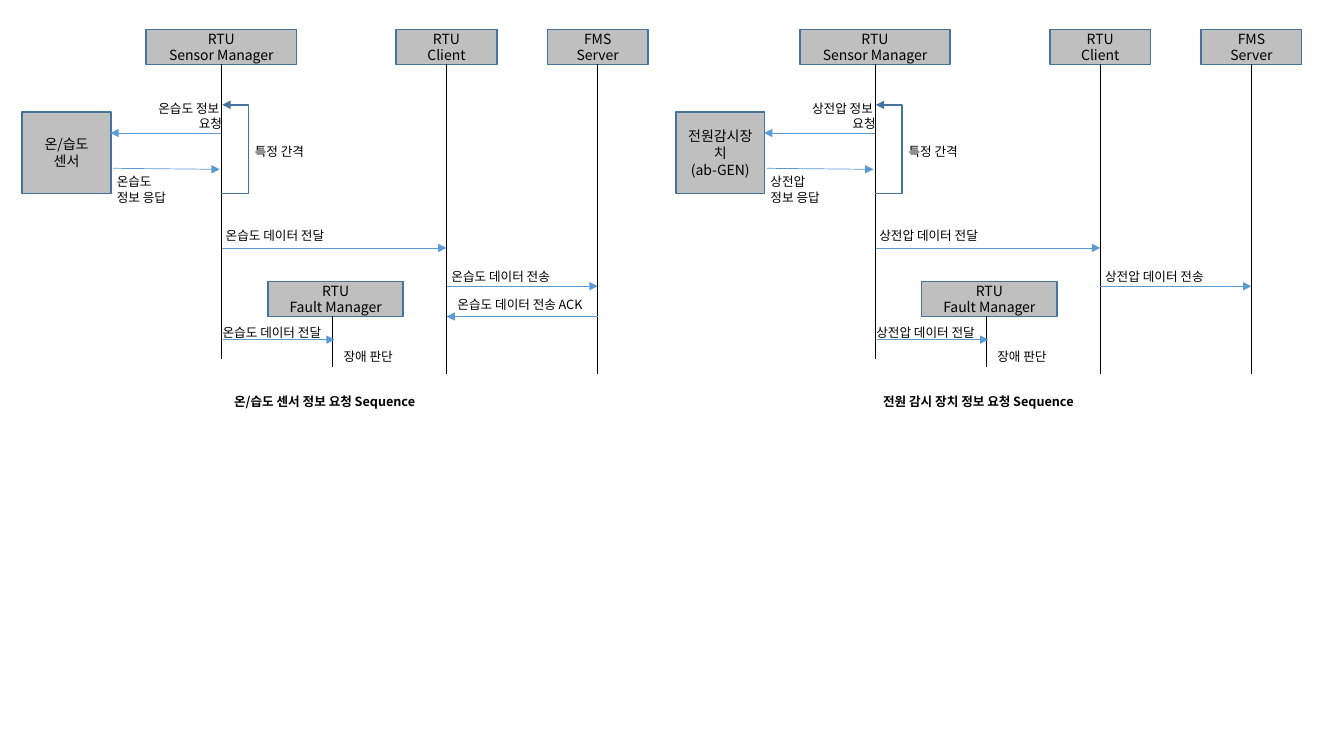
import pptx
import pptx.util
import pptx.dml.color
import pptx.enum.shapes
import pptx.enum.text
import pptx.oxml.ns
import lxml.etree

RGB = pptx.dml.color.RGBColor
GREY = RGB(0xBF, 0xBF, 0xBF)
EDGE = RGB(0x43, 0x73, 0x9E)
BLUE = RGB(0x5B, 0x9B, 0xD5)
BLACK = RGB(0, 0, 0)
FONT = "Noto Sans CJK KR"
ALIGN = pptx.enum.text.PP_ALIGN

# The grid has square cells of a tenth of an inch.
CELL = pptx.util.Inches(0.1)
COLS, ROWS = 133.33, 75
PANEL = 64.85  # columns from one sequence to the next
HEAD, TALL = 2.9, 3.5  # top row and height of the role boxes
MANAGER, CLIENT, SERVER, FAULT = 21.95, 44.3, 59.3, 33


def cells(*counts):
    return [round(count * CELL) for count in counts]


def child(parent, tag, **attrs):
    return lxml.etree.SubElement(parent, pptx.oxml.ns.qn(tag), **attrs)


def write(frame, lines, size, align, bold=False):
    frame.word_wrap = True
    for i, line in enumerate(lines):
        para = frame.paragraphs[0] if i == 0 else frame.add_paragraph()
        para.alignment = align
        run = para.add_run()
        run.text = line
        font = run.font
        font.name, font.size, font.bold = FONT, pptx.util.Pt(size), bold
        font.color.rgb = BLACK
        child(font._element, "a:ea", typeface=FONT)


def stroke(line, color, width, arrow=False):
    line.color.rgb = color
    line.width = pptx.util.Pt(width)
    if arrow:
        child(line._get_or_add_ln(), "a:tailEnd", type="triangle")


def box(slide, x, y, w, h, *lines):
    shape = slide.shapes.add_shape(
        pptx.enum.shapes.MSO_SHAPE.RECTANGLE, *cells(x, y, w, h))
    shape.shadow.inherit = False
    shape.fill.solid()
    shape.fill.fore_color.rgb = GREY
    stroke(shape.line, EDGE, 1)
    shape.text_frame.vertical_anchor = pptx.enum.text.MSO_ANCHOR.MIDDLE
    write(shape.text_frame, lines, 10, ALIGN.CENTER)
    return shape


def label(slide, x, y, w, *lines, align=ALIGN.LEFT, bold=False):
    height = 1 + 1.5 * len(lines)
    text = slide.shapes.add_textbox(*cells(x, y, w, height))
    write(text.text_frame, lines, 9, align, bold)
    text.text_frame.auto_size = pptx.enum.text.MSO_AUTO_SIZE.SHAPE_TO_FIT_TEXT


def link(slide, x1, y1, x2, y2, color=BLUE, arrow=True):
    line = slide.shapes.add_connector(
        pptx.enum.shapes.MSO_CONNECTOR.STRAIGHT, *cells(x1, y1, x2, y2))
    stroke(line.line, color, 0.5, arrow)
    child(line._element.spPr, "a:effectLst")
    return line


def role(slide, mid, width, end, *lines):
    """A role box with its lifeline down to row end."""
    top = box(slide, mid - width / 2, HEAD, width, TALL, *lines)
    life = link(slide, mid, HEAD + TALL, mid, end, BLACK, False)
    life.begin_connect(top, 2)


def loop(slide, x, top, low):
    """The bracket that marks a repeated exchange."""
    path = slide.shapes.build_freeform(*cells(x, low), scale=1.0)
    turns = [(x + 2.7, low), (x + 2.7, top), (x + 0.1, top)]
    path.add_line_segments([cells(*turn) for turn in turns], close=False)
    shape = path.convert_to_shape()
    shape.shadow.inherit = False
    shape.fill.background()
    stroke(shape.line, EDGE, 1, True)


def panel(slide, left, topic, title, device, ack):
    sensor, client, server = left + MANAGER, left + CLIENT, left + SERVER
    fault = left + FAULT
    role(slide, sensor, 14.9, 35.6, "RTU", "Sensor Manager")
    role(slide, client, 10, 37.1, "RTU", "Client")
    role(slide, server, 10, 37.1, "FMS", "Server")
    box(slide, left + 2.2, 11.1, 8.8, 8.1, *device)
    box(slide, left + 26.6, 27.9, 13.4, TALL, "RTU", "Fault Manager")
    link(slide, fault, 31.4, fault, 36.4, BLACK, False)

    link(slide, sensor, 13.2, left + 10.95, 13.2)
    link(slide, left + 11.2, 16.7, left + 21.8, 16.8)
    loop(slide, sensor, 10.4, 19.2)
    link(slide, sensor + 0.1, 24.6, client, 24.6)
    link(slide, client, 28.4, server, 28.4)
    link(slide, sensor + 0.2, 33.7, fault + 0.2, 33.7)

    label(slide, left + 11.5, 9.5, 11.5, topic + " 정보 ", "요청",
          align=ALIGN.RIGHT)
    label(slide, left + 10.6, 16.8, 11.5, topic, "정보 응답")
    label(slide, left + 24.3, 13.8, 9, "특정 간격")
    label(slide, left + 21.4, 22.1, 15.8, topic + " 데이터 전달")
    label(slide, left + 43.8, 26.2, 15.5, topic + " 데이터 전송")
    label(slide, left + 21.1, 31.7, 15.8, topic + " 데이터 전달")
    label(slide, left + 33.1, 34.1, 15.8, "장애 판단")
    label(slide, left + 20, 38.6, 24.4, title + " 정보 요청 Sequence",
          align=ALIGN.CENTER, bold=True)
    if ack:
        link(slide, server, 31.4, client, 31.4)
        label(slide, left + 44.4, 29, 17.8, topic + " 데이터 전송 ACK")


def main():
    deck = pptx.Presentation()
    deck.slide_width, deck.slide_height = cells(COLS, ROWS)
    slide = deck.slides.add_slide(deck.slide_layouts[6])
    panel(slide, 0, "온습도", "온/습도 센서", ("온/습도", "센서"), True)
    panel(slide, PANEL, "상전압", "전원 감시 장치",
          ("전원감시장치", "(ab-GEN)"), False)
    deck.save("out.pptx")


if __name__ == "__main__":
    main()
